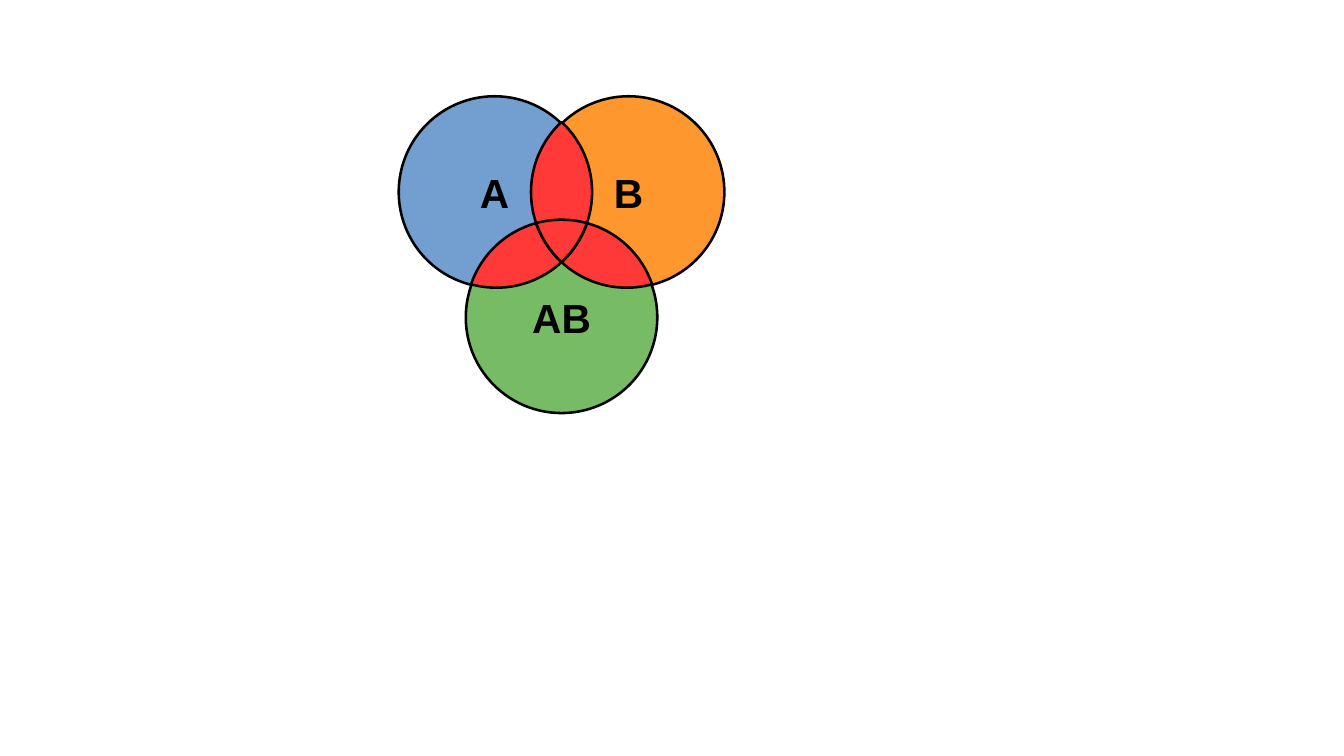
from math import atan2, ceil, cos, hypot, pi, sin, sqrt, tan

from lxml.etree import SubElement
from pptx import Presentation
from pptx.dml.color import RGBColor
from pptx.enum.shapes import MSO_SHAPE
from pptx.enum.text import MSO_ANCHOR, PP_ALIGN
from pptx.oxml.ns import qn
from pptx.util import Inches, Pt

COLORS = {"A": "729FCF", "B": "FF972F", "AB": "77BC65", "overlap": "FF3838", "ink": "000000"}
FONT = "Arial"
MAX_STEP = pi / 12


def style_shape(sp, fill):
    sp.shadow.inherit = False
    sp.fill.solid()
    sp.fill.fore_color.rgb = RGBColor.from_string(fill)
    sp.line.color.rgb = RGBColor.from_string(COLORS["ink"])
    sp.line.width = Pt(1.5)


def write_text(sp, text, size=24, bold=True, color=COLORS["ink"]):
    tf = sp.text_frame
    tf.margin_left = tf.margin_right = Inches(0.11)
    tf.margin_top = tf.margin_bottom = Inches(0.06)
    tf.vertical_anchor = MSO_ANCHOR.MIDDLE
    p = tf.paragraphs[0]
    p.alignment = PP_ALIGN.CENTER
    r = p.add_run()
    r.text = text
    r.font.name = FONT
    r.font.size = Pt(size)
    r.font.bold = bold
    r.font.color.rgb = RGBColor.from_string(color)


def crossings(c1, c2, radius):
    dx, dy = c2[0] - c1[0], c2[1] - c1[1]
    dist = hypot(dx, dy)
    half = sqrt(radius ** 2 - dist ** 2 / 4) / dist
    mx, my = (c1[0] + c2[0]) / 2, (c1[1] + c2[1]) / 2
    return (mx + dy * half, my - dx * half), (mx - dy * half, my + dx * half)


def arc_curves(center, radius, start, end):
    cx, cy = center
    first = atan2(start[1] - cy, start[0] - cx)
    sweep = (atan2(end[1] - cy, end[0] - cx) - first + pi) % (2 * pi) - pi
    count = ceil(abs(sweep) / MAX_STEP)
    step = sweep / count
    pull = 4 / 3 * tan(step / 4)

    def on_arc(angle, lean=0):
        return (cx + radius * (cos(angle) - lean * sin(angle)),
                cy + radius * (sin(angle) + lean * cos(angle)))

    angles = [first + step * i for i in range(count)]
    return [(on_arc(t, pull), on_arc(t + step, -pull), on_arc(t + step)) for t in angles]


def add_overlap(slide, radius, arcs):
    curves = [curve for arc in arcs for curve in arc_curves(arc[0], radius, *arc[1:])]
    builder = slide.shapes.build_freeform(*arcs[0][1], scale=1.0)
    builder.add_line_segments([curve[2] for curve in curves], close=True)
    sp = builder.convert_to_shape()
    style_shape(sp, COLORS["overlap"])
    outline = sp._element.find(".//" + qn("a:path"))
    for child in list(outline)[1:]:
        outline.remove(child)
    for curve in curves:
        bezier = SubElement(outline, qn("a:cubicBezTo"))
        for x, y in curve:
            SubElement(bezier, qn("a:pt"), x=str(round(x - sp.left)), y=str(round(y - sp.top)))
    SubElement(outline, qn("a:close"))


def add_venn(slide, left, top, width, height):
    size = width * 0.588
    radius = size / 2
    centers = {
        "A": (left + radius, top + radius),
        "B": (left + width - radius, top + radius),
        "AB": (left + width / 2, top + height - radius),
    }
    for name, (cx, cy) in centers.items():
        sp = slide.shapes.add_shape(
            MSO_SHAPE.OVAL, int(cx - radius), int(cy - radius), int(size), int(size))
        style_shape(sp, COLORS[name])
        write_text(sp, name)

    shift = size * 0.01
    moves = ((shift, 0), (-shift, 0), (0, -shift))
    a, b, ab = [(x + dx, y + dy) for (x, y), (dx, dy) in zip(centers.values(), moves)]
    peak, middle = crossings(a, b, radius)
    a_inner, a_outer = crossings(a, ab, radius)
    b_outer, b_inner = crossings(b, ab, radius)
    wings = [(a, middle, a_outer), (ab, a_outer, b_inner), (b, b_inner, middle),
             (a, middle, a_inner), (ab, a_inner, b_outer), (b, b_outer, middle)]
    lens = [(a, peak, middle), (b, middle, peak)]
    core = [(ab, b_inner, a_inner), (a, a_inner, middle), (b, middle, b_inner)]
    for arcs in (wings, lens, core):
        add_overlap(slide, radius, arcs)


def main():
    prs = Presentation()
    prs.slide_width, prs.slide_height = Inches(11.02), Inches(6.2)
    w, h = prs.slide_width, prs.slide_height
    slide = prs.slides.add_slide(prs.slide_layouts[6])
    add_venn(slide, w * 0.2967, h * 0.1274, w * 0.2423, h * 0.419)
    prs.save("out.pptx")


if __name__ == "__main__":
    main()
